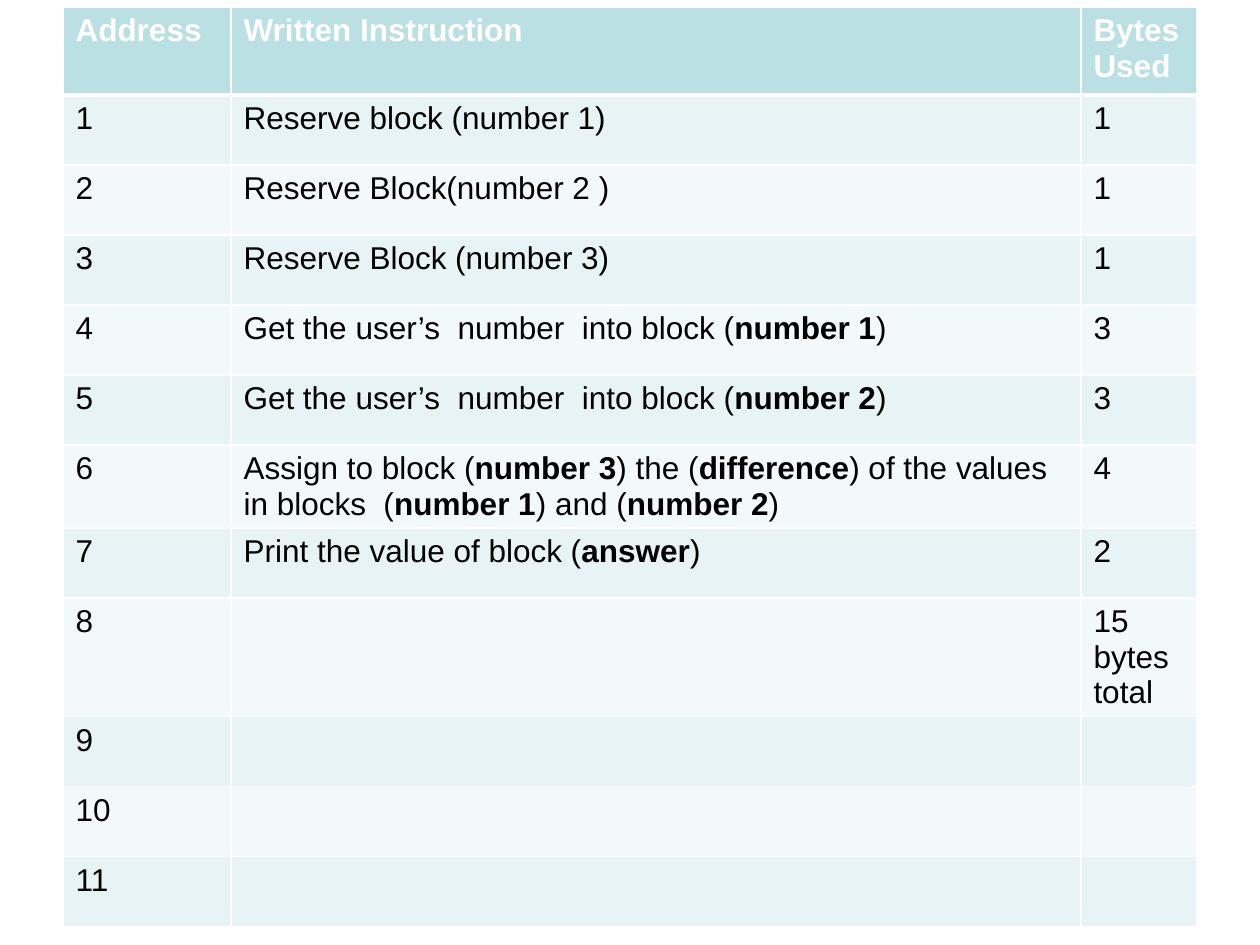
from lxml.etree import SubElement
from pptx import Presentation
from pptx.dml.color import RGBColor
from pptx.oxml.ns import qn
from pptx.util import Pt

PX = 914400 // 126
WHITE = RGBColor(0xFF, 0xFF, 0xFF)
BLACK = RGBColor(0, 0, 0)
HEADER = RGBColor(0xBB, 0xE0, 0xE3)
BANDS = [RGBColor(0xF3, 0xF9, 0xFA), RGBColor(0xE7, 0xF3, 0xF4)]

COLUMNS = [168, 850, 116]
HEADER_HEIGHT, ROW_HEIGHT = 88, 70
HEADINGS = ["Address", "Written Instruction", "Bytes Used"]
# Words between asterisks are bold
INSTRUCTIONS = [
    ("Reserve block (number 1)", "1"),
    ("Reserve Block(number 2 )", "1"),
    ("Reserve Block (number 3)", "1"),
    ("Get the user’s  number  into block (*number 1*)", "3"),
    ("Get the user’s  number  into block (*number 2*)", "3"),
    ("Assign to block (*number 3*) the (*difference*) of the values "
     "in blocks  (*number 1*) and (*number 2*)", "4"),
    ("Print the value of block (*answer*)", "2"),
    ("", "15 bytes total"),
    ("", ""),
    ("", ""),
    ("", ""),
]


def px(n):
    return n * PX


def set_borders(cell, widths):
    tcPr = cell._tc.get_or_add_tcPr()
    for side, width in widths.items():
        ln = SubElement(tcPr, qn(f"a:ln{side}"), w=str(Pt(width)))
        fill = SubElement(ln, qn("a:solidFill"))
        SubElement(fill, qn("a:srgbClr"), val=str(WHITE))


def write_text(cell, text, color, bold):
    p = cell.text_frame.paragraphs[0]
    p.font.size = Pt(18)
    for i, part in enumerate(text.split("*")):
        if part:
            r = p.add_run()
            r.text = part
            r.font.color.rgb = color
            font = {"name": "Arial", "size": Pt(18), "bold": bold or i % 2 == 1}
            for name, value in font.items():
                setattr(r.font, name, value)


def fill_row(table, i, texts):
    header = i == 0
    table.rows[i].height = px(HEADER_HEIGHT if header else ROW_HEIGHT)
    for j, text in enumerate(texts):
        cell = table.cell(i, j)
        # Borders come before the fill in the cell properties
        set_borders(cell, {"L": 1, "R": 1, "T": 3 if i == 1 else 1,
                           "B": 3 if header else 1})
        cell.fill.solid()
        cell.fill.fore_color.rgb = HEADER if header else BANDS[i % 2]
        write_text(cell, text, WHITE if header else BLACK, header)


def add_instruction_table(s):
    rows = [HEADINGS]
    rows += [(str(n), *row) for n, row in enumerate(INSTRUCTIONS, 1)]
    height = HEADER_HEIGHT + ROW_HEIGHT * len(INSTRUCTIONS)
    table = s.shapes.add_table(len(rows), len(COLUMNS), px(63), px(7),
                               px(sum(COLUMNS)), px(height)).table
    for flag in ("first_row", "horz_banding"):
        setattr(table, flag, False)
    for column, width in zip(table.columns, COLUMNS):
        column.width = px(width)
    for i, texts in enumerate(rows):
        fill_row(table, i, texts)


def main():
    prs = Presentation()
    prs.slide_width, prs.slide_height = px(1260), px(945)
    s = prs.slides.add_slide(prs.slide_layouts[6])
    add_instruction_table(s)
    prs.save("out.pptx")


main()
